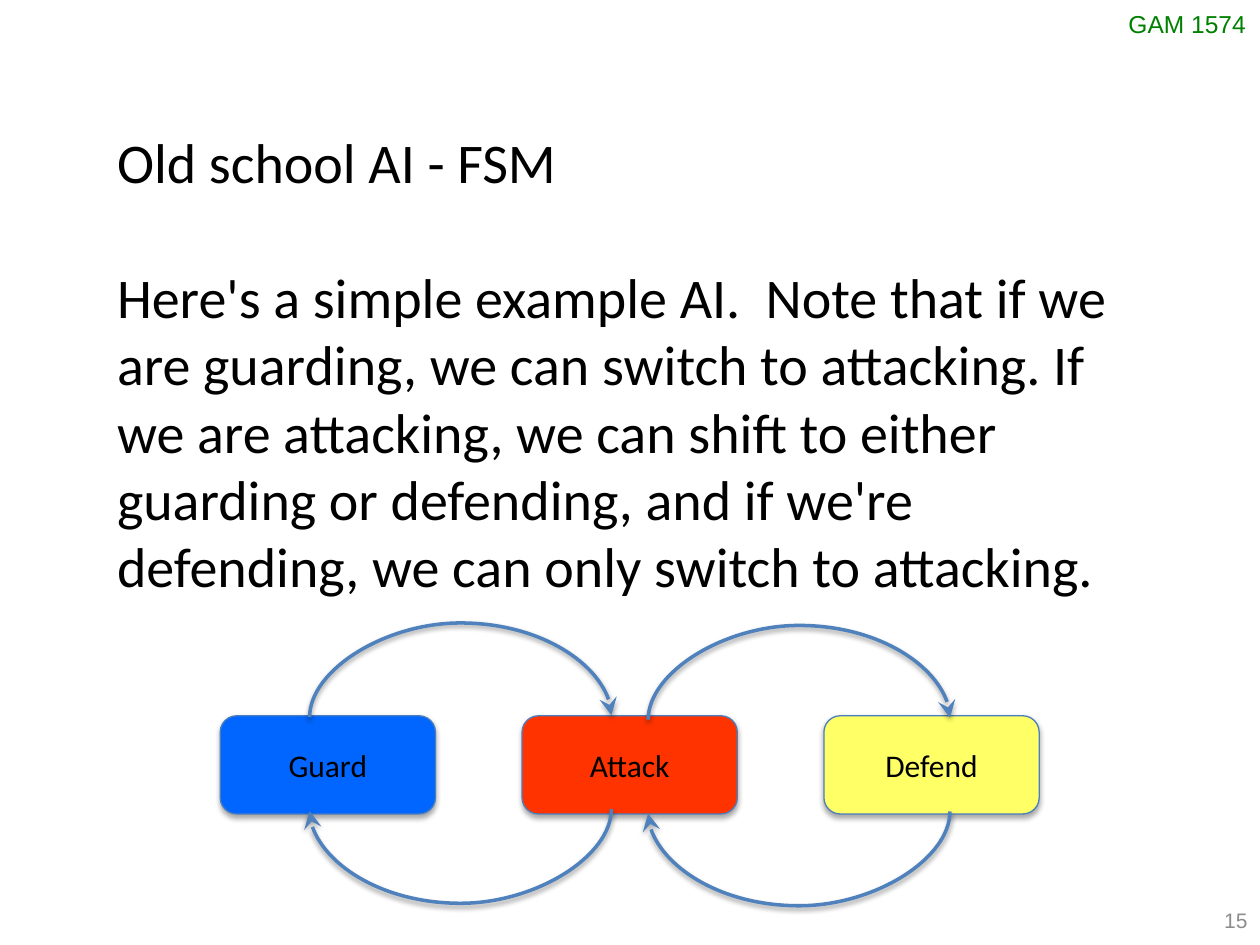
import pptx
import pptx.util
import pptx.dml.color
import pptx.enum.shapes
import pptx.enum.text
import pptx.oxml
import pptx.oxml.ns

Cm = pptx.util.Cm
Pt = pptx.util.Pt
RGBColor = pptx.dml.color.RGBColor
ALIGN = pptx.enum.text.PP_ALIGN
ANCHOR = pptx.enum.text.MSO_ANCHOR

BLACK = RGBColor(0x00, 0x00, 0x00)
GREEN = RGBColor(0x00, 0x80, 0x00)
GRAY = RGBColor(0x8C, 0x8C, 0x8C)
GUARD_BLUE = RGBColor(0x00, 0x66, 0xFF)
ATTACK_RED = RGBColor(0xFF, 0x33, 0x00)
DEFEND_YELLOW = RGBColor(0xFF, 0xFF, 0x66)
OUTLINE_BLUE = RGBColor(0x4B, 0x7E, 0xBC)
LINK_BLUE = RGBColor(0x4F, 0x81, 0xBD)

STATES = [("Guard", GUARD_BLUE), ("Attack", ATTACK_RED), ("Defend", DEFEND_YELLOW)]
HEADING = "Old school AI - FSM"
EXPLANATION = (
    "Here's a simple example AI.  Note that if we are guarding, we can switch to "
    "attacking. If we are attacking, we can shift to either guarding or defending, "
    "and if we're defending, we can only switch to attacking."
)


def write_paragraphs(shape, lines, font_name, size, color, align=ALIGN.LEFT):
    frame = shape.text_frame
    frame.text = "\n".join(lines)
    for paragraph in frame.paragraphs:
        paragraph.alignment = align
        for run in paragraph.runs:
            run.font.name = font_name
            run.font.size = Pt(size)
            run.font.color.rgb = color


def add_shadow(shape, distance, opacity):
    """Put a soft shadow straight below a shape; opacity is in percent."""
    effects = pptx.oxml.parse_xml(
        f'<a:effectLst {pptx.oxml.ns.nsdecls("a")}>'
        f'<a:outerShdw blurRad="{Pt(3.1)}" dist="{Pt(distance)}" dir="5400000" rotWithShape="0">'
        f'<a:srgbClr val="000000"><a:alpha val="{opacity * 1000}"/></a:srgbClr>'
        "</a:outerShdw></a:effectLst>"
    )
    shape._element.spPr.append(effects)


def add_course_label(slide, left, top, width, height):
    label = slide.shapes.add_textbox(left, top, width, height)
    label.text_frame.word_wrap = False
    write_paragraphs(label, ["GAM 1574"], "Arial", 14, GREEN)


def add_slide_number(slide, left, top, width, height):
    number = slide.shapes.add_textbox(left, top, width, height)
    number.text_frame.word_wrap = True
    number.text_frame.vertical_anchor = ANCHOR.MIDDLE
    write_paragraphs(number, ["15"], "Arial", 12, GRAY, ALIGN.RIGHT)


def add_body(slide, left, top, width, height):
    body = slide.shapes.add_textbox(left, top, width, height)
    body.text_frame.word_wrap = True
    write_paragraphs(body, [HEADING, EXPLANATION], "Calibri", 32, BLACK)
    body.text_frame.paragraphs[1].space_before = Pt(39)


def add_state(slide, name, color, left, top, width, height):
    state = slide.shapes.add_shape(
        pptx.enum.shapes.MSO_SHAPE.ROUNDED_RECTANGLE, left, top, width, height
    )
    state.fill.solid()
    state.fill.fore_color.rgb = color
    state.line.color.rgb = OUTLINE_BLUE
    state.line.width = Pt(0.75)
    add_shadow(state, 1.8, 35)
    state.text_frame.vertical_anchor = ANCHOR.MIDDLE
    write_paragraphs(state, [name], "Calibri", 18, BLACK, ALIGN.CENTER)


def add_transition(slide, left, right, y, upward):
    """Arc between two points at height y: rightward above, or leftward below.

    The connector is a thin upright one turned by 90 degrees, whose adjustment
    pushes the curve far outside its frame.
    """
    thickness, bulge = Cm(0.04), Cm(1.9)
    sign = 1 if upward else -1
    center_x = (left + right) // 2
    half_width, half_height = sign * thickness // 2, sign * (right - left) // 2
    arc = slide.shapes.add_connector(
        pptx.enum.shapes.MSO_CONNECTOR.CURVE,
        center_x + half_width, y + half_height,
        center_x - half_width, y - half_height,
    )
    properties = arc._element.spPr
    properties.find(pptx.oxml.ns.qn("a:xfrm")).set("rot", "5400000")
    guides = properties.find(pptx.oxml.ns.qn("a:prstGeom")).get_or_add_avLst()
    guide = pptx.oxml.parse_xml(
        f'<a:gd {pptx.oxml.ns.nsdecls("a")} name="adj1" '
        f'fmla="val {round(bulge / thickness * 100000)}"/>'
    )
    guides.append(guide)
    arc.line.color.rgb = LINK_BLUE
    arc.line.width = Pt(2)
    arrowhead = pptx.oxml.parse_xml(
        f'<a:tailEnd {pptx.oxml.ns.nsdecls("a")} type="stealth" w="lg" len="lg"/>'
    )
    arc.line._get_or_add_ln().append(arrowhead)
    add_shadow(arc, 1.6, 38)


def add_state_machine(slide, left, top, width, height):
    state_width = Cm(4.34)
    pitch = (width - state_width) // (len(STATES) - 1)
    for index, (name, color) in enumerate(STATES):
        add_state(slide, name, color, left + index * pitch, top, state_width, height)

    first_center = left + state_width // 2
    for index, (shift, drop) in enumerate([(Cm(-0.37), Cm(0.01)), (Cm(0.37), Cm(0.06))]):
        start = first_center + index * pitch + shift
        add_transition(slide, start, start + pitch, top + drop, True)
        add_transition(slide, start, start + pitch, top + height - Cm(0.09) + drop, False)


def main():
    presentation = pptx.Presentation()
    presentation.slide_width = Cm(25.4)
    presentation.slide_height = Cm(19.05)
    slide = presentation.slides.add_slide(presentation.slide_layouts[6])
    add_course_label(slide, Cm(22.5), Cm(0.05), Cm(2.9), Cm(0.86))
    add_slide_number(slide, Cm(19.48), Cm(18.03), Cm(5.92), Cm(1.02))
    add_body(slide, Cm(2.11), Cm(2.44), Cm(21.18), Cm(9.83))
    add_state_machine(slide, Cm(4.44), Cm(14.43), Cm(16.51), Cm(1.98))
    presentation.save("out.pptx")


if __name__ == "__main__":
    main()
